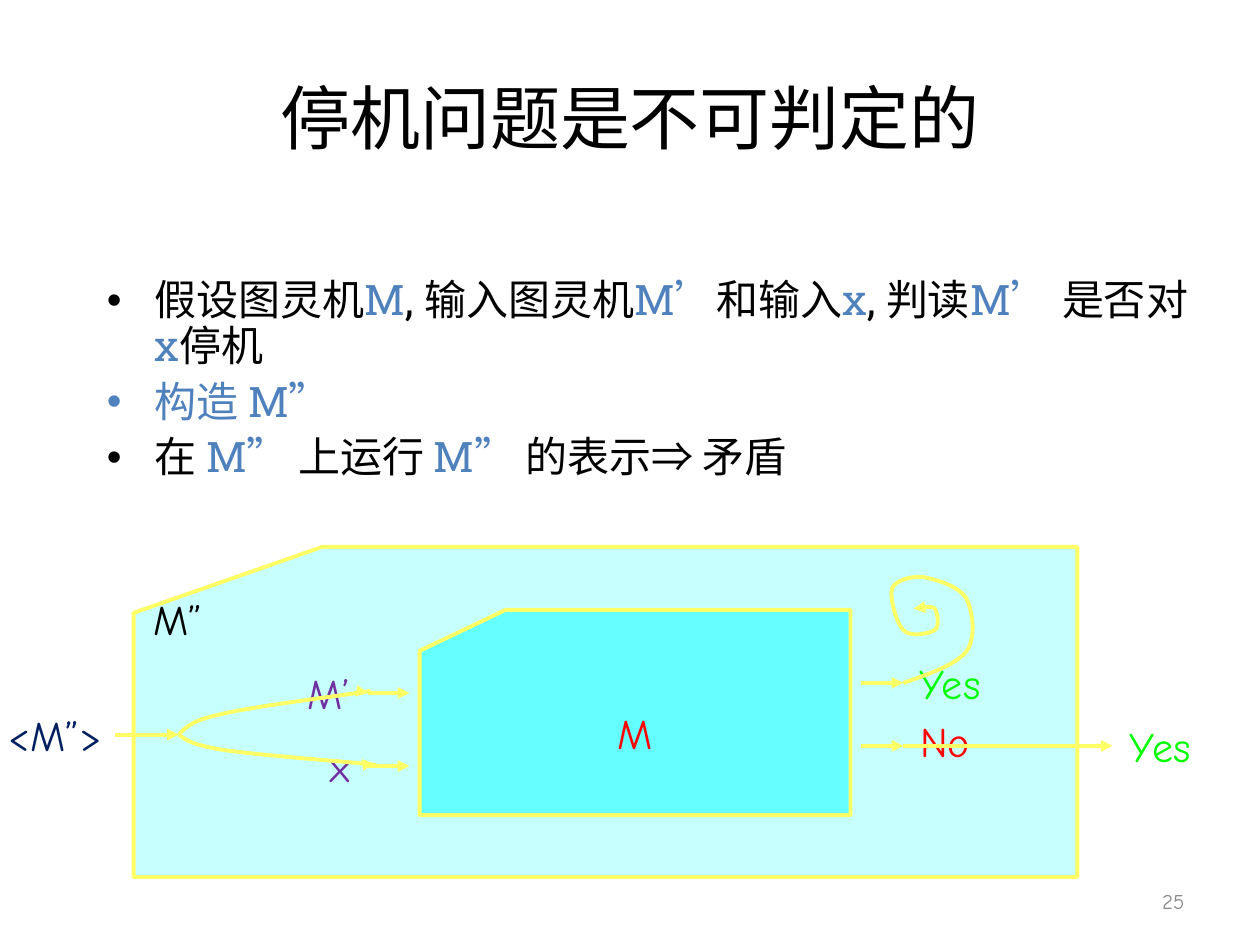
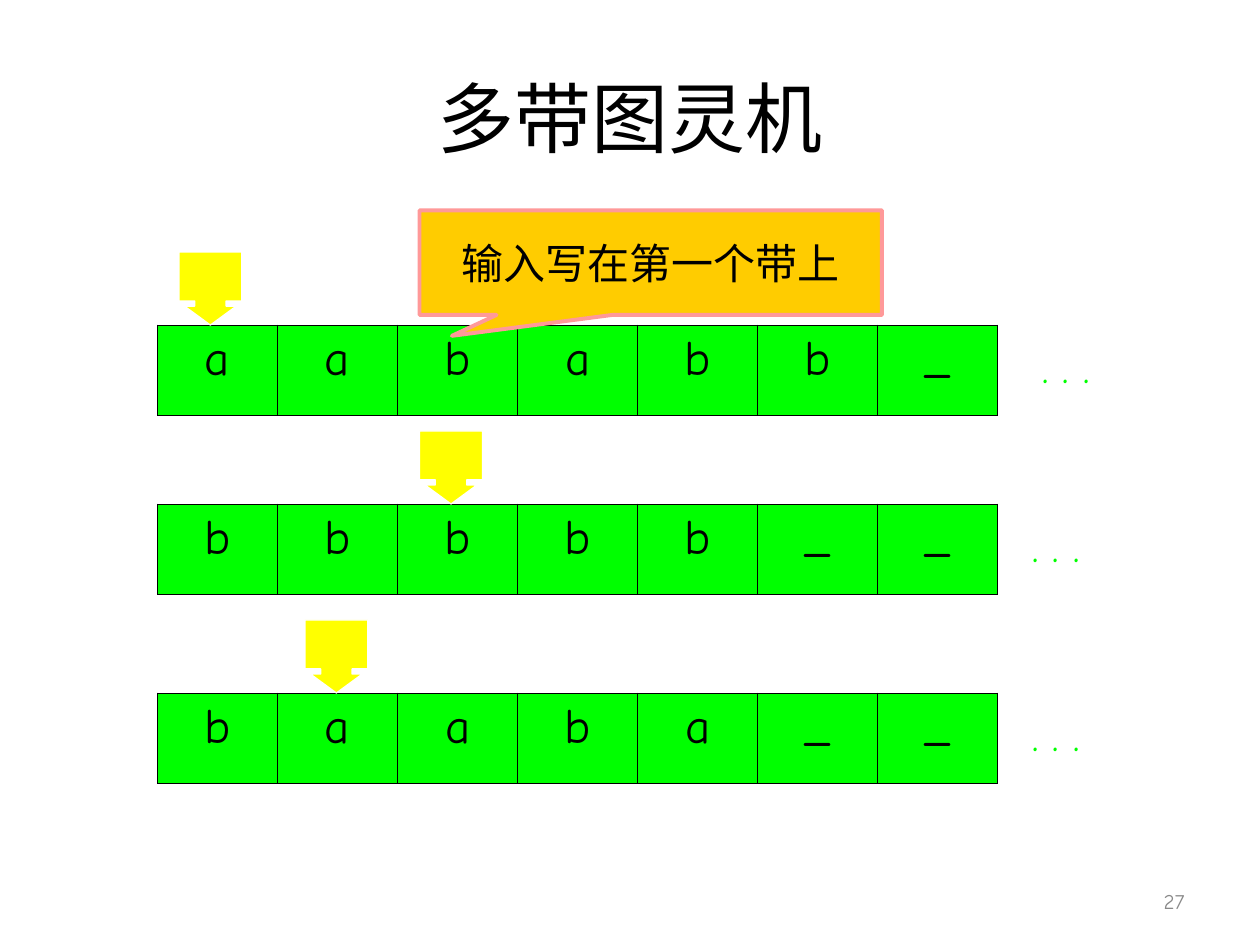
from dataclasses import dataclass

from lxml import etree
from pptx import Presentation
from pptx.dml.color import RGBColor
from pptx.enum import lang, shapes, text
from pptx.oxml import ns
from pptx.util import Inches, Pt


@dataclass(frozen=True)
class Theme:
    """Colours, fonts and type sizes shared by the slides."""
    black: str = "000000"
    accent: str = "4F81BD"
    grey: str = "898989"
    white: str = "FFFFFF"
    navy: str = "002060"
    purple: str = "7030A0"
    red: str = "FF0000"
    green: str = "00FF00"
    cyan: str = "66FFFF"
    outline: str = "FFFF66"
    head: str = "FFFF00"
    note: str = "FFCC00"
    note_outline: str = "FF9999"
    slab: str = "Roboto Slab"
    comic: str = "Comic Neue"
    symbol: str = "Arial"
    body_size: int = 24
    cell_size: int = 28
    number_size: int = 12
    line_width: float = 2.25


THEME = Theme()
CENTER, RIGHT = text.PP_ALIGN.CENTER, text.PP_ALIGN.RIGHT


def rgb(color):
    """Turn a hex string into a colour."""
    return RGBColor.from_string(color)


def add_xml(parent, tag, **attributes):
    """Append a DrawingML element to its parent."""
    return etree.SubElement(parent, ns.qn(tag), attributes)


def style_font(font, name, size, color):
    """Set a font's face, size and colour."""
    font.name, font.size = name, Pt(size)
    font.color.rgb = rgb(color)


def write_line(frame, words, color, name=THEME.comic, size=THEME.body_size, align=CENTER):
    """Write one paragraph into a text frame."""
    paragraph = frame.paragraphs[0]
    paragraph.text, paragraph.alignment = words, align
    style_font(paragraph.font, name, size, color)


def add_label(slide, words, box, color, wrap=False):
    """Add a centred one-line text box."""
    label = slide.shapes.add_textbox(*map(Inches, box))
    label.text_frame.word_wrap = wrap
    write_line(label.text_frame, words, color)
    return label


def add_titled_slide(presentation, title, size, number):
    """Add a slide with its title and page number."""
    slide = presentation.slides.add_slide(presentation.slide_layouts[5])
    heading = slide.shapes.title
    heading.left, heading.top, heading.width, heading.height = map(Inches, (0.5, 0.3, 9, 1.25))
    heading.text_frame.vertical_anchor = text.MSO_ANCHOR.MIDDLE
    write_line(heading.text_frame, title, THEME.black, THEME.slab, size)
    page = slide.shapes.add_textbox(*map(Inches, (7.17, 6.95, 2.33, 0.4))).text_frame
    page.word_wrap, page.vertical_anchor = True, text.MSO_ANCHOR.MIDDLE
    write_line(page, number, THEME.grey, size=THEME.number_size, align=RIGHT)
    return slide


def add_block(slide, preset, box, fill, outline, width=THEME.line_width, adjustments=()):
    """Add a filled and outlined preset shape."""
    block = slide.shapes.add_shape(preset, *map(Inches, box))
    for index, value in enumerate(adjustments):
        block.adjustments[index] = value
    block.shadow.inherit = False
    block.fill.solid()
    block.fill.fore_color.rgb = rgb(fill)
    block.line.color.rgb = rgb(outline)
    block.line.width = Pt(width)
    block.text_frame.vertical_anchor = text.MSO_ANCHOR.MIDDLE
    return block


def add_card(slide, box, opacity=100):
    """Add a machine drawn as a punched card."""
    card = add_block(slide, shapes.MSO_SHAPE.FLOWCHART_CARD, box, THEME.cyan, THEME.outline)
    color = card.fill._xPr.find(ns.qn("a:solidFill"))[0]
    add_xml(color, "a:alpha", val=str(opacity * 1000))
    return card


def style_arrow(line):
    """Give a line the arrow colour, width and head."""
    line.color.rgb = rgb(THEME.outline)
    line.width = Pt(THEME.line_width)
    add_xml(line._get_or_add_ln(), "a:tailEnd", type="triangle")


def add_arrow(slide, left, right, y):
    """Add a level arrow pointing right."""
    arrow = slide.shapes.add_connector(
        shapes.MSO_CONNECTOR.STRAIGHT, *map(Inches, (left, y, right, y)))
    style_arrow(arrow.line)
    add_xml(arrow._element.spPr, "a:effectLst")
    return arrow


def add_curve(slide, start, controls):
    """Add an arrow of cubic curves, three control points to each."""
    builder = slide.shapes.build_freeform(*map(Inches, start))
    builder.add_line_segments([(Inches(x), Inches(y)) for x, y in controls], close=False)
    curve = builder.convert_to_shape()
    curve.shadow.inherit = False
    curve.fill.background()
    style_arrow(curve.line)
    outline = curve._element.find(".//" + ns.qn("a:path"))
    segments = outline.findall(ns.qn("a:lnTo"))
    for first in range(0, len(segments), 3):
        bezier = add_xml(outline, "a:cubicBezTo")
        for segment in segments[first:first + 3]:
            bezier.append(segment[0])
            outline.remove(segment)


def add_bullets(slide, box, items):
    """Add a bullet list of (bullet colour, runs) items."""
    frame = slide.shapes.add_textbox(*map(Inches, box)).text_frame
    frame.word_wrap = True
    for index, (bullet_color, runs) in enumerate(items):
        paragraph = frame.add_paragraph() if index else frame.paragraphs[0]
        properties = paragraph._p.get_or_add_pPr()
        indent = Inches(0.38)
        properties.set("marL", str(indent))
        properties.set("indent", str(-indent))
        add_xml(add_xml(properties, "a:buClr"), "a:srgbClr", val=bullet_color)
        add_xml(properties, "a:buFont", typeface=THEME.symbol)
        add_xml(properties, "a:buChar", char="•")
        paragraph.line_spacing = 0.9
        if index:
            paragraph.space_before = Pt(6)
        style_font(paragraph.font, THEME.slab, THEME.body_size, bullet_color)
        for words, color in runs:
            run = paragraph.add_run()
            run.text = words
            run.font.color.rgb = rgb(color)
            run.font.language_id = lang.MSO_LANGUAGE_ID.SIMPLIFIED_CHINESE
            if "⇒" in words:
                run.font.name = THEME.symbol


def add_tape(slide, top, symbols):
    """Add a tape as a one-row table."""
    box = map(Inches, (1.25, top, 6.67, 0.72))
    table = slide.shapes.add_table(1, len(symbols), *box).table
    table.first_row = table.horz_banding = False
    for cell, symbol in zip(table.rows[0].cells, symbols):
        write_line(cell.text_frame, symbol, THEME.black, size=THEME.cell_size)
        properties = cell._tc.get_or_add_tcPr()
        for side in ("a:lnL", "a:lnR", "a:lnT", "a:lnB"):
            border = add_xml(properties, side, w=str(Pt(0.45)))
            add_xml(add_xml(border, "a:solidFill"), "a:srgbClr", val=THEME.black)
        cell.fill.solid()
        cell.fill.fore_color.rgb = rgb(THEME.green)


def build_halting_slide(presentation):
    """Build the slide on the halting problem."""
    slide = add_titled_slide(presentation, "停机问题是不可判定的", 40, "25")
    black, accent = THEME.black, THEME.accent
    add_card(slide, (1.06, 4.34, 7.49, 2.62), opacity=36)
    add_bullets(slide, (0.75, 2.17, 8.83, 2), [
        (black, [("假设图灵机", black), ("M", accent), (", 输入图灵机", black),
                 ("M’", accent), ("和输入", black), ("x", accent), (", 判读", black),
                 ("M’ ", accent), ("是否对 ", black), ("x", accent), ("停机", black)]),
        (accent, [("构造 M”", accent)]),
        (black, [("在 ", black), ("M” ", accent), ("上运行 ", black), ("M” ", accent),
                 ("的表示", black), ("⇒ ", black), ("矛盾", black)]),
    ])
    machine = add_card(slide, (3.33, 4.84, 3.42, 1.63))
    write_line(machine.text_frame, "M", THEME.red)

    for words, left, top, width, color in (
        ("M”", 1.11, 4.66, 0.6, black),
        ("M’", 2.34, 5.25, 0.54, THEME.purple),
        ("x", 2.52, 5.83, 0.36, THEME.purple),
        ("Yes", 7.19, 5.17, 0.7, THEME.green),
        ("No", 7.15, 5.63, 0.7, THEME.red),
        ("Yes", 8.86, 5.67, 0.7, THEME.green),
    ):
        add_label(slide, words, (left, top, width, 0.5), color)
    source = add_label(slide, "<M”>", (-0.03, 5.58, 0.94, 0.5), THEME.navy)

    add_arrow(slide, 0.92, 1.42, 5.83).begin_connect(source, 3)
    for left, right, y in ((2.92, 3.25, 5.5), (2.92, 3.25, 6.08), (6.83, 7.17, 5.42),
                           (6.83, 7.17, 5.92), (7.17, 8.83, 5.92)):
        add_arrow(slide, left, right, y)

    fork = (1.42, 5.83)
    add_curve(slide, fork, [
        (1.47, 5.78), (1.51, 5.72), (1.75, 5.67), (1.99, 5.61), (2.64, 5.53), (2.83, 5.5),
        (3.03, 5.47), (2.9, 5.5), (2.92, 5.5)])
    add_curve(slide, fork, [
        (1.47, 5.87), (1.52, 5.91), (1.76, 5.95), (2.01, 5.99), (2.68, 6.04), (2.88, 6.06),
        (3.08, 6.08), (2.95, 6.06), (2.97, 6.06)])
    add_curve(slide, (7.17, 5.42), [
        (7.37, 5.35), (7.58, 5.28), (7.67, 5.17), (7.75, 5.06), (7.72, 4.85), (7.67, 4.75),
        (7.61, 4.65), (7.43, 4.6), (7.33, 4.58), (7.24, 4.57), (7.11, 4.6), (7.08, 4.67),
        (7.06, 4.74), (7.11, 4.94), (7.17, 5), (7.22, 5.06), (7.37, 5.03), (7.42, 5),
        (7.46, 4.97), (7.44, 4.86), (7.42, 4.83), (7.39, 4.81), (7.32, 4.82), (7.25, 4.83)])


def build_tapes_slide(presentation):
    """Build the slide on the multitape machine."""
    slide = add_titled_slide(presentation, "多带图灵机", 44, "27")
    for top, symbols, head_left, dots_left in (
        (2.58, "aababb_", 1.42, 8),
        (4, "bbbbb__", 3.33, 7.92),
        (5.5, "baaba__", 2.42, 7.92),
    ):
        add_tape(slide, top, symbols)
        add_label(slide, ". . .", (dots_left, top + 0.08, 0.92, 0.5), THEME.green, wrap=True)
        add_block(slide, shapes.MSO_SHAPE.DOWN_ARROW_CALLOUT, (head_left, top - 0.58, 0.5, 0.58),
                  THEME.head, THEME.white, 0.75, (0.5, 0.41, 0.3, 0.67))
    note = add_block(slide, shapes.MSO_SHAPE.RECTANGULAR_CALLOUT, (3.33, 1.67, 3.67, 0.83),
                     THEME.note, THEME.note_outline, adjustments=(-0.43, 0.7))
    write_line(note.text_frame, "输入写在第一个带上", THEME.black)


def main():
    """Build and save the presentation."""
    presentation = Presentation()
    presentation.slide_width, presentation.slide_height = Inches(10), Inches(7.5)
    build_halting_slide(presentation)
    build_tapes_slide(presentation)
    presentation.save("out.pptx")


if __name__ == "__main__":
    main()
